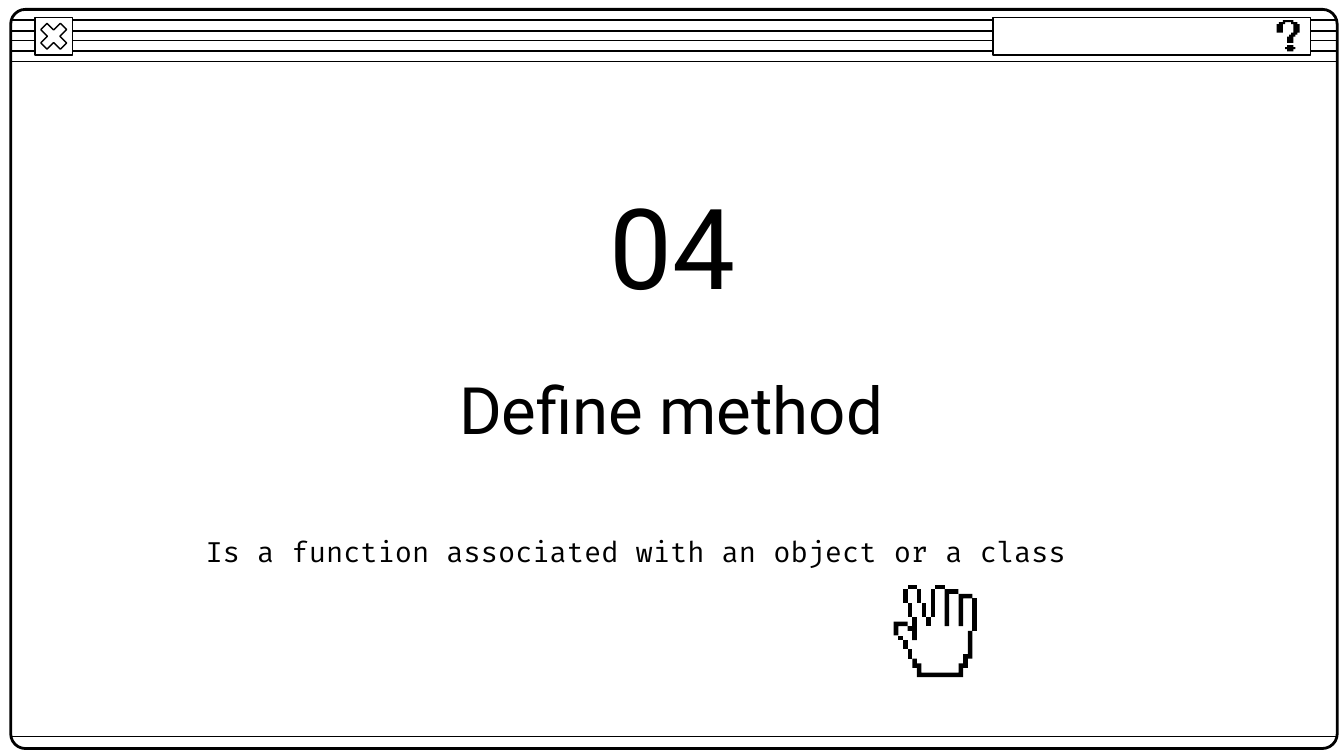
from lxml.etree import SubElement
from pptx import Presentation
from pptx.dml.color import RGBColor
from pptx.enum.shapes import MSO_CONNECTOR, MSO_SHAPE
from pptx.enum.text import MSO_ANCHOR, MSO_AUTO_SIZE, PP_ALIGN
from pptx.oxml.ns import qn
from pptx.util import Inches, Pt

BLACK = RGBColor(0, 0, 0)
WHITE = RGBColor(255, 255, 255)

deck = Presentation()
deck.slide_width = Inches(10)
deck.slide_height = Inches(10) * 9 // 16
slide = deck.slides.add_slide(deck.slide_layouts[0])
shapes = slide.shapes


def write(shape, text, box, size, font, align):
    shape.left, shape.top, shape.width, shape.height = map(Inches, box)
    frame = shape.text_frame
    frame.word_wrap = True
    frame.auto_size = MSO_AUTO_SIZE.NONE
    frame.vertical_anchor = MSO_ANCHOR.MIDDLE
    frame.margin_left = frame.margin_right = Inches(0.1)
    frame.margin_top = frame.margin_bottom = Inches(0.1)
    frame.text = text
    para = frame.paragraphs[0]
    para.alignment = align
    para.space_before = Pt(0)
    style = para.runs[0].font
    style.size, style.name, style.color.rgb = Pt(size), font, BLACK


def draw(points, left, top, pitch, color=BLACK):
    """Fill an outline given in grid cells; two points are a box's corners."""
    if len(points) == 2:
        (x1, y1), (x2, y2) = points
        points = [(x1, y1), (x1, y2), (x2, y2), (x2, y1)]
    pen = shapes.build_freeform(*points[0], scale=pitch)
    pen.add_line_segments(points[1:], close=True)
    shape = pen.convert_to_shape(Inches(left), Inches(top))
    shape.shadow.inherit = False
    shape.fill.solid()
    shape.fill.fore_color.rgb = color
    shape.line.fill.background()


# Window lines: five in the title bar, one at the foot
for y in (0.15, 0.23, 0.3, 0.38, 0.46, 5.48):
    line = shapes.add_connector(MSO_CONNECTOR.STRAIGHT, Inches(0.08), Inches(y),
                                Inches(9.95), Inches(y))
    line.line.color.rgb, line.line.width = BLACK, Pt(0.75)
    SubElement(line._element.spPr, qn("a:effectLst"))

# Window frame, close button and help field
parts = [
    (MSO_SHAPE.ROUNDED_RECTANGLE, (0.08, 0.07, 9.87, 5.5), None, 1.5, 0.02),
    (MSO_SHAPE.RECTANGLE, (0.26, 0.13, 0.28, 0.28), WHITE, 0.75, None),
    (MSO_SHAPE.MATH_MULTIPLY, (0.26, 0.13, 0.28, 0.28), WHITE, 0.75, 0.235),
    (MSO_SHAPE.RECTANGLE, (7.39, 0.13, 2.36, 0.28), WHITE, 0.75, None),
]
for kind, box, fill, width, adjust in parts:
    part = shapes.add_shape(kind, *map(Inches, box))
    part.shadow.inherit = False
    if fill is None:
        part.fill.background()
    else:
        part.fill.solid()
        part.fill.fore_color.rgb = fill
    part.line.color.rgb, part.line.width = BLACK, Pt(width)
    if adjust is not None:
        part.adjustments[0] = adjust

# Question mark, on a grid 11 cells wide
dot = [(5, 12), (5, 13), (4, 13), (4, 14), (5, 14), (5, 15),
       (8, 15), (8, 14), (9, 14), (9, 13), (8, 13), (8, 12)]
hook = [(3, 0), (3, 1), (1, 1), (1, 2), (0, 2), (0, 6), (3, 6), (3, 2),
        (4, 2), (4, 1), (7, 1), (7, 2), (8, 2), (8, 6), (7, 6), (7, 7),
        (6, 7), (6, 8), (5, 8), (5, 11), (8, 11), (8, 8), (9, 8), (9, 7),
        (10, 7), (10, 6), (11, 6), (11, 2), (10, 2), (10, 1), (8, 1), (8, 0)]
for outline in (dot, hook):
    draw(outline, 9.5, 0.15, Inches(0.17) / 11)

# Text
write(shapes.title, "Define method", box=(1.43, 2.58, 7.13, 0.92),
      size=35, font="Roboto", align=PP_ALIGN.CENTER)
write(slide.placeholders[1], "Is a function associated with an object or a class",
      box=(1.43, 3.93, 7.13, 0.34), size=15, font="Fira Code", align=PP_ALIGN.LEFT)
write(shapes.add_textbox(0, 0, 0, 0), "04", box=(3.28, 1.36, 3.45, 0.92),
      size=60, font="Roboto", align=PP_ALIGN.CENTER)

# Hand, on a grid 18 cells wide: white palm, then black edges
palm = [(3, 0), (3, 1), (2, 1), (2, 4), (3, 4), (3, 7), (4, 7), (4, 9),
        (3, 9), (3, 8), (0, 8), (0, 11), (1, 11), (1, 12), (2, 12), (2, 14),
        (3, 14), (3, 16), (4, 16), (4, 18), (5, 18), (5, 20), (15, 20),
        (15, 18), (16, 18), (16, 16), (17, 16), (17, 10), (18, 10), (18, 3),
        (17, 3), (17, 2), (14, 2), (14, 1), (11, 1), (11, 0), (9, 0), (9, 1),
        (8, 1), (8, 7), (7, 7), (7, 4), (6, 4), (6, 1), (5, 1), (5, 0)]
edges = [
    [(3, 0), (5, 1)],
    [(9, 0), (11, 1)],
    [(11, 1), (11, 9), (12, 9), (12, 2), (14, 2), (14, 1)],
    [(14, 2), (14, 9), (15, 9), (15, 3), (17, 3), (17, 2)],
    [(17, 3), (18, 10)],
    [(16, 10), (16, 15), (15, 15), (15, 17), (14, 17), (14, 19), (6, 19),
     (6, 17), (5, 17), (5, 16), (4, 16), (4, 18), (5, 18), (5, 20), (15, 20),
     (15, 18), (16, 18), (16, 16), (17, 16), (17, 10)],
    [(4, 7), (4, 9), (3, 9), (3, 10), (4, 10), (4, 12), (5, 12), (5, 7)],
    [(3, 4), (4, 7)],
    [(2, 1), (3, 4)],
    [(7, 7), (8, 9)],
    [(6, 4), (7, 7)],
    [(5, 1), (6, 4)],
    [(8, 1), (9, 7)],
    [(0, 8), (0, 11), (1, 11), (1, 9), (3, 9), (3, 8)],
    [(1, 11), (2, 12)],
    [(2, 12), (3, 14)],
    [(3, 14), (4, 16)],
]
cell = Inches(0.62) / 18
draw(palm, 6.65, 4.35, cell, WHITE)
for edge in edges:
    draw(edge, 6.65, 4.35, cell)

deck.save("out.pptx")
